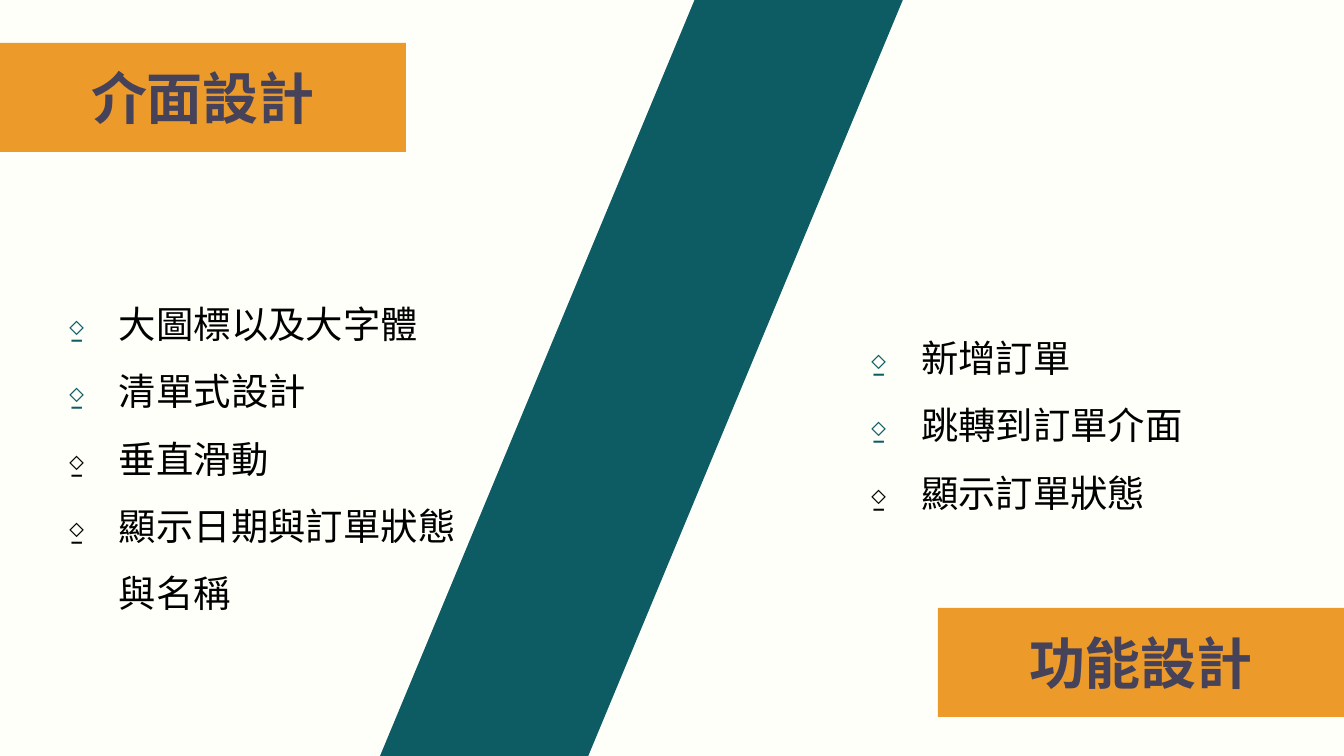
import pptx
import pptx.dml.color
import pptx.enum.shapes
import pptx.enum.text
import pptx.oxml
import pptx.oxml.ns
import pptx.util

RGBColor = pptx.dml.color.RGBColor
IVORY = RGBColor(0xFF, 0xFF, 0xFA)
TEAL = RGBColor(0x0D, 0x5C, 0x63)
ORANGE = RGBColor(0xEC, 0x9A, 0x29)
PLUM = RGBColor(0x45, 0x42, 0x5A)
BLACK = RGBColor(0, 0, 0)

PX = 914400 / 134.4
PAGE_WIDTH, PAGE_HEIGHT = 1344, 756
INSET, INDENT, HANGING = 13, 67, 52
BAND = (509, -73, 257, 921)
BAND_ANGLE = 18.6

HEADINGS = [
    ("介面設計", (0, 43, 406, 109)),
    ("功能設計", (938, 608, 406, 109)),
]
LISTS = [
    ((39, 266, 441, 344), [
        ("大圖標以及大字體", TEAL),
        ("清單式設計", TEAL),
        ("垂直滑動", BLACK),
        ("顯示日期與訂單狀態與名稱", BLACK),
    ]),
    ((841, 300, 482, 208), [
        ("新增訂單", TEAL),
        ("跳轉到訂單介面", TEAL),
        ("顯示訂單狀態", BLACK),
    ]),
]
HEADING_FONT = {"name": "Arial", "size": pptx.util.Pt(30), "bold": True}
LIST_FONT = {"name": "Arial", "size": pptx.util.Pt(20)}


def emu(length):
    return pptx.util.Emu(round(length * PX))


def place(frame):
    return [emu(length) for length in frame]


def assign(target, values):
    for name, value in values.items():
        setattr(target, name, value)


def style_font(font, values, color):
    assign(font, values)
    font.color.rgb = color


def set_frame(box, anchor):
    margins = {f"margin_{side}": emu(INSET) for side in ("left", "top", "right", "bottom")}
    assign(box.text_frame, {"word_wrap": True, "vertical_anchor": anchor, **margins})
    return box.text_frame


def add_filled(page, kind, frame, color):
    shape = page.shapes.add_shape(kind, *place(frame))
    shape.shadow.inherit = False
    shape.fill.solid()
    shape.fill.fore_color.rgb = color
    shape.line.fill.background()
    return shape


def add_heading(page, text, frame):
    box = add_filled(page, pptx.enum.shapes.MSO_SHAPE.RECTANGLE, frame, ORANGE)
    para = set_frame(box, pptx.enum.text.MSO_ANCHOR.MIDDLE).paragraphs[0]
    para.alignment = pptx.enum.text.PP_ALIGN.CENTER
    span = para.add_run()
    span.text = text
    style_font(span.font, HEADING_FONT, PLUM)


def add_bullet(para, color):
    properties = para._p.get_or_add_pPr()
    properties.set("marL", str(emu(INDENT)))
    properties.set("indent", str(-emu(HANGING)))
    namespace = pptx.oxml.ns.nsdecls("a")
    for xml in (
        f'<a:buClr {namespace}><a:srgbClr val="{color}"/></a:buClr>',
        f'<a:buFont {namespace} typeface="Arial"/>',
        f'<a:buChar {namespace} char="⍚"/>',
    ):
        properties.append(pptx.oxml.parse_xml(xml))


def add_list(page, frame, items):
    box = page.shapes.add_textbox(*place(frame))
    text_frame = set_frame(box, pptx.enum.text.MSO_ANCHOR.TOP)
    text_frame.auto_size = pptx.enum.text.MSO_AUTO_SIZE.SHAPE_TO_FIT_TEXT
    for index, (text, bullet_color) in enumerate(items):
        para = text_frame.add_paragraph() if index else text_frame.paragraphs[0]
        add_bullet(para, bullet_color)
        para.line_spacing = 1.5
        span = para.add_run()
        span.text = text
        style_font(span.font, LIST_FONT, BLACK)


def main():
    """Build a slide that sets interface design against function design."""
    deck = pptx.Presentation()
    assign(deck, {"slide_width": emu(PAGE_WIDTH), "slide_height": emu(PAGE_HEIGHT)})
    page = deck.slides.add_slide(deck.slide_layouts[6])
    page.background.fill.solid()
    page.background.fill.fore_color.rgb = IVORY
    band = add_filled(page, pptx.enum.shapes.MSO_SHAPE.PARALLELOGRAM, BAND, TEAL)
    band.rotation = BAND_ANGLE
    band.adjustments[0] = 0.25
    for text, frame in HEADINGS:
        add_heading(page, text, frame)
    for frame, items in LISTS:
        add_list(page, frame, items)
    deck.save("out.pptx")


if __name__ == "__main__":
    main()
